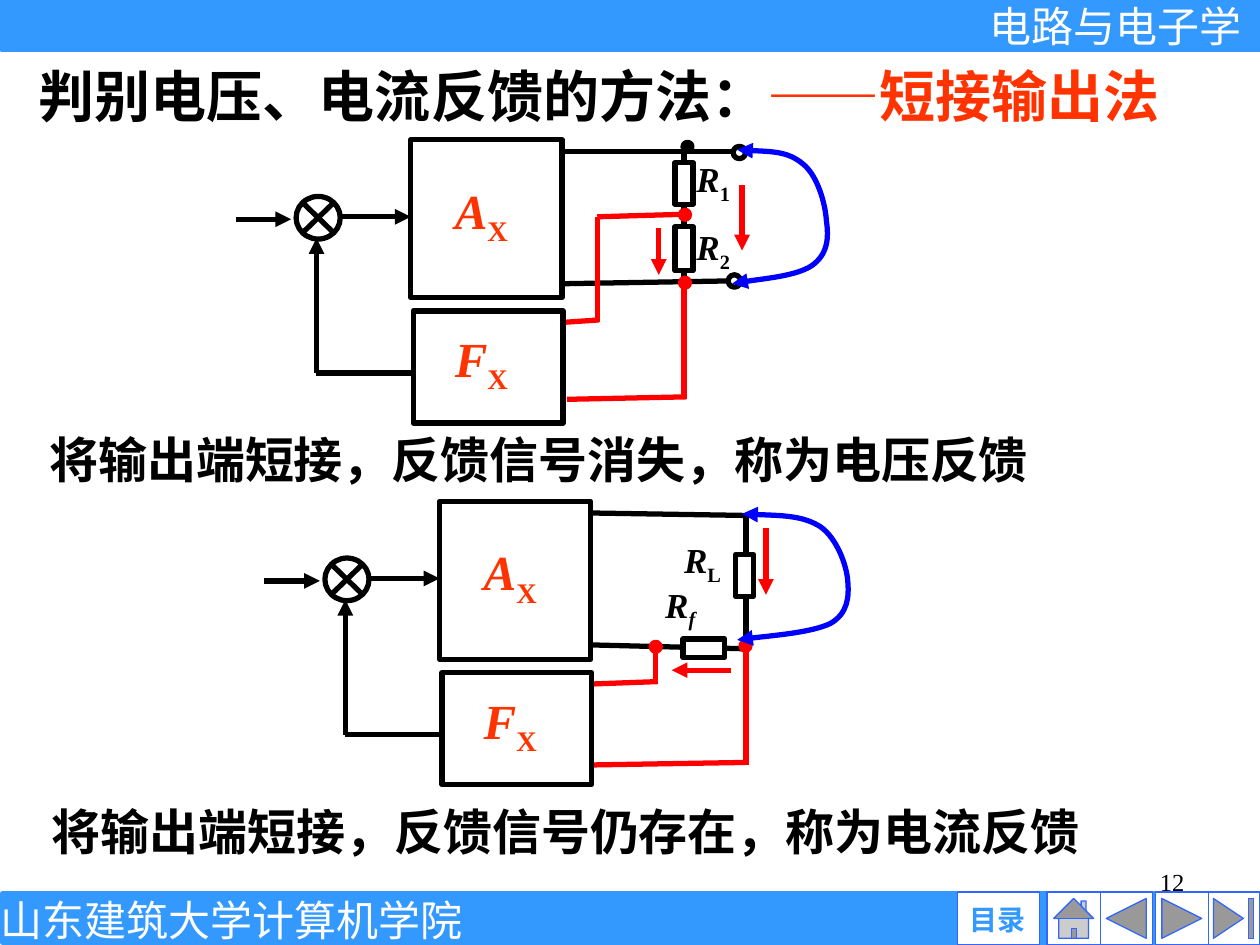
import pptx
import pptx.dml.color
import pptx.enum.shapes
import pptx.enum.text
import pptx.oxml.ns
import pptx.util
from dataclasses import dataclass
from lxml import etree

Cm = pptx.util.Cm
Pt = pptx.util.Pt
qn = pptx.oxml.ns.qn
SHAPE = pptx.enum.shapes.MSO_SHAPE
ALIGN = pptx.enum.text.PP_ALIGN
ANCHOR = pptx.enum.text.MSO_ANCHOR


@dataclass(frozen=True)
class Theme:
    band: str = "3399FF"
    button_line: str = "3366FF"
    white: str = "FFFFFF"
    black: str = "000000"
    accent: str = "FF3300"
    feedback: str = "FF0000"
    short_circuit: str = "0000FF"
    serif: str = "Times New Roman"
    sans: str = "Arial"
    title_size: int = 32
    text_size: int = 28
    band_size: int = 24
    resistor_size: int = 20
    button_size: int = 16
    number_size: int = 14
    stroke: float = 3
    button_stroke: float = 0.75


theme = Theme()
color = pptx.dml.color.RGBColor.from_string


def add_box(kind, left, top, width, height, fill, line, stroke=theme.stroke):
    shape = slide.shapes.add_shape(kind, Cm(left), Cm(top), Cm(width), Cm(height))
    shape.shadow.inherit = False
    shape.fill.solid()
    shape.fill.fore_color.rgb = color(fill)
    shape.line.color.rgb = color(line)
    shape.line.width = Pt(stroke)


def write(shape, parts, size, bold=True, font=theme.serif, alignment=ALIGN.LEFT, inset=True):
    frame = shape.text_frame
    frame.word_wrap = True
    frame.auto_size = pptx.enum.text.MSO_AUTO_SIZE.NONE
    frame.vertical_anchor = ANCHOR.TOP if inset else ANCHOR.MIDDLE
    if not inset:
        frame.margin_left = frame.margin_right = frame.margin_top = frame.margin_bottom = 0
    frame.text = parts[0][0]
    paragraph = frame.paragraphs[0]
    paragraph.alignment = alignment
    paragraph.space_before = Pt(0)
    for text, *_ in parts[1:]:
        paragraph.add_run().text = text
    for run, (_, ink, italic, baseline) in zip(paragraph.runs, parts):
        run.font.name = font
        run.font.size = Pt(size)
        run.font.bold = bold
        run.font.italic = italic
        run.font.color.rgb = color(ink)
        if baseline:
            run.font._element.set("baseline", str(baseline))


presentation = pptx.Presentation()
presentation.slide_width = Cm(25.4)
presentation.slide_height = Cm(19.05)
slide = presentation.slides.add_slide(presentation.slide_layouts[3])

title, first_statement, second_statement = slide.placeholders
placeholders = [
    (title, 0.53, 1.12, 24.51, 1.6, theme.title_size,
     [("判别电压、电流反馈的方法：", theme.black), ("——短接输出法", theme.accent)]),
    (first_statement, 0.74, 8.53, 23.16, 1.45, theme.text_size,
     [("将输出端短接，反馈信号消失，称为电压反馈", theme.black)]),
    (second_statement, 0.79, 16.03, 23.11, 1.45, theme.text_size,
     [("将输出端短接，反馈信号仍存在，称为电流反馈", theme.black)]),
]
for shape, left, top, width, height, size, parts in placeholders:
    shape.left, shape.top, shape.width, shape.height = Cm(left), Cm(top), Cm(width), Cm(height)
    write(shape, [(text, ink, False, 0) for text, ink in parts], size)
    if shape is not title:
        properties = shape.text_frame.paragraphs[0]._p.get_or_add_pPr()
        properties.set("marL", "0")
        properties.set("indent", "0")
        etree.SubElement(properties, qn("a:buNone"))

for left, top in [(0.03, 0), (0.05, 18.01)]:
    add_box(SHAPE.RECTANGLE, left, top, 25.37, 0.99, theme.band, theme.band)

buttons = [
    (SHAPE.ACTION_BUTTON_END, 24.33, 1.07),
    (SHAPE.ACTION_BUTTON_FORWARD_OR_NEXT, 23.29, 1.07),
    (SHAPE.ACTION_BUTTON_BACK_OR_PREVIOUS, 22.17, 1.07),
    (SHAPE.ACTION_BUTTON_HOME, 21.11, 1.07),
    (SHAPE.ACTION_BUTTON_CUSTOM, 19.3, 1.65),
]
for kind, left, width in buttons:
    add_box(kind, left, 17.98, width, 1.07, theme.white, theme.button_line, theme.button_stroke)

captions = [
    ("12", 18.21, 17.35, 5.92, 1.32, theme.number_size, theme.black, False, theme.serif, ALIGN.RIGHT, True),
    ("目录", 19.3, 18.19, 1.6, 0.69, theme.button_size, theme.band, True, theme.sans, ALIGN.CENTER, False),
    ("电路与电子学", 19.38, 0, 6.2, 1.02, theme.band_size, theme.white, False, theme.sans, ALIGN.CENTER, False),
    ("山东建筑大学计算机学院", 0, 18.03, 9.32, 1.02, theme.band_size, theme.white, False, theme.serif,
     ALIGN.CENTER, False),
]
for text, left, top, width, height, size, ink, bold, font, alignment, inset in captions:
    caption = slide.shapes.add_textbox(Cm(left), Cm(top), Cm(width), Cm(height))
    write(caption, [(text, ink, False, 0)], size, bold, font, alignment, inset)
    caption.text_frame.word_wrap = text != "山东建筑大学计算机学院"

circuit_shifts = [(0, 0), (0.58, 7.29)]
input_wires = [
    (6.38, 7.52, 8.33, 7.52, False),
    (6.71, 4.37, 8.28, 4.37, True),
    (4.75, 4.42, 5.87, 4.42, True),
    (6.38, 7.52, 6.38, 4.8, True),
]
output_wires = [
    (11.28, 3.05, 14.83, 3.05, False),
    (11.33, 5.72, 14.88, 5.66, False),
    (13.79, 3.05, 13.79, 5.72, False),
    (11.84, 10.34, 14.99, 10.39, False),
    (11.89, 13, 15.09, 13.08, False),
    (15.04, 10.34, 15.04, 13, False),
]
feedback_wires = [
    (11.33, 6.5, 12.07, 6.45, False),
    (13.79, 5.77, 13.79, 8.05, False),
    (12.04, 4.37, 12.04, 6.5, False),
    (12.04, 4.37, 13.77, 4.32, False),
    (11.43, 8.05, 13.84, 8, False),
    (14.96, 3.73, 14.96, 5.05, True),
    (13.28, 4.6, 13.28, 5.54, True),
    (11.89, 13.79, 13.26, 13.74, False),
    (15.04, 13.06, 15.04, 15.42, False),
    (13.21, 12.98, 13.21, 13.79, False),
    (11.96, 15.42, 15.01, 15.37, False),
    (15.44, 10.64, 15.44, 11.99, True),
    (14.73, 13.51, 13.54, 13.51, True),
]
shifted_wires = [(x1 + dx, y1 + dy, x2 + dx, y2 + dy, arrow)
                 for dx, dy in circuit_shifts for x1, y1, x2, y2, arrow in input_wires]
for wires, ink in [(shifted_wires + output_wires, theme.black), (feedback_wires, theme.feedback)]:
    for x1, y1, x2, y2, arrow in wires:
        wire = slide.shapes.add_connector(
            pptx.enum.shapes.MSO_CONNECTOR.STRAIGHT, Cm(x1), Cm(y1), Cm(x2), Cm(y2))
        wire.line.color.rgb = color(ink)
        wire.line.width = Pt(theme.stroke)
        if arrow:
            etree.SubElement(wire.line._get_or_add_ln(), qn("a:tailEnd"), type="triangle")
        etree.SubElement(wire._element.spPr, qn("a:effectLst"))

labels = [
    ("R", "1", False, 13.79, 3.05, 1.22, 1.09, theme.resistor_size, theme.black),
    ("R", "2", False, 13.79, 4.42, 1.22, 1.09, theme.resistor_size, theme.black),
    ("R", "L", False, 13.54, 10.74, 1.5, 1.09, theme.resistor_size, theme.black),
    ("R", "f", True, 13.16, 11.63, 1.3, 1.09, theme.resistor_size, theme.black),
]
for dx, dy in circuit_shifts:
    add_box(SHAPE.RECTANGLE, 8.28 + dx, 2.82 + dy, 3.05, 3.18, theme.white, theme.black)
    add_box(SHAPE.RECTANGLE, 8.33 + dx, 6.27 + dy, 3.02, 2.26, theme.white, theme.black)
    add_box(SHAPE.FLOWCHART_SUMMING_JUNCTION, 5.97 + dx, 3.96 + dy, 0.89, 0.86, theme.white, theme.black)
    for symbol, top in [("A", 3.51), ("F", 6.5)]:
        labels.append((symbol, "X", False, 8.92 + dx, top + dy, 1.73, 1.45, theme.text_size, theme.accent))

for left, top, width, height in [(13.61, 3.28, 0.36, 0.84), (13.61, 4.57, 0.36, 0.89),
                                 (14.83, 11.18, 0.36, 0.84), (13.77, 12.88, 0.84, 0.38)]:
    add_box(SHAPE.RECTANGLE, left, top, width, height, theme.white, theme.black)
for left, top in [(14.78, 2.95), (14.68, 5.54)]:
    add_box(SHAPE.OVAL, left, top, 0.25, 0.25, theme.white, theme.black)
for left, top, ink in [(13.77, 2.87, theme.black), (13.72, 4.24, theme.feedback), (13.72, 5.61, theme.feedback),
                       (13.13, 12.95, theme.feedback), (14.94, 12.93, theme.feedback)]:
    add_box(SHAPE.OVAL, left, top, 0.18, 0.18, ink, ink)

for symbol, subscript, italic, left, top, width, height, size, ink in labels:
    label = slide.shapes.add_textbox(Cm(left), Cm(top), Cm(width), Cm(height))
    write(label, [(symbol, ink, True, 0), (subscript, ink, italic, -25000)], size)

short_circuits = [
    [(14.86, 3.02), (15.37, 3.05), (15.88, 3.05), (16.18, 3.3), (16.48, 3.53), (16.64, 4.11), (16.66, 4.45),
     (16.71, 4.8), (16.69, 5.13), (16.36, 5.36), (16.05, 5.56), (15.04, 5.66), (14.76, 5.72)],
    [(14.96, 10.36), (15.57, 10.39), (16.18, 10.39), (16.54, 10.62), (16.87, 10.85), (17.07, 11.4), (17.09, 11.71),
     (17.12, 12.04), (17.09, 12.37), (16.74, 12.57), (16.36, 12.75), (15.19, 12.85), (14.86, 12.9)],
]
for points in short_circuits:
    start, *controls = [(Cm(x), Cm(y)) for x, y in points]
    builder = slide.shapes.build_freeform(*start)
    builder.add_line_segments(controls, close=False)
    curve = builder.convert_to_shape()
    curve.shadow.inherit = False
    curve.fill.background()
    curve.line.color.rgb = color(theme.short_circuit)
    curve.line.width = Pt(theme.stroke)
    for end in ("a:headEnd", "a:tailEnd"):
        etree.SubElement(curve.line._get_or_add_ln(), qn(end), type="triangle")
    segments = list(curve._element.iter(qn("a:lnTo")))
    outline = segments[0].getparent()
    for index in range(0, len(segments), 3):
        bezier = etree.SubElement(outline, qn("a:cubicBezTo"))
        for segment in segments[index:index + 3]:
            bezier.append(segment[0])
            outline.remove(segment)

presentation.save("out.pptx")
